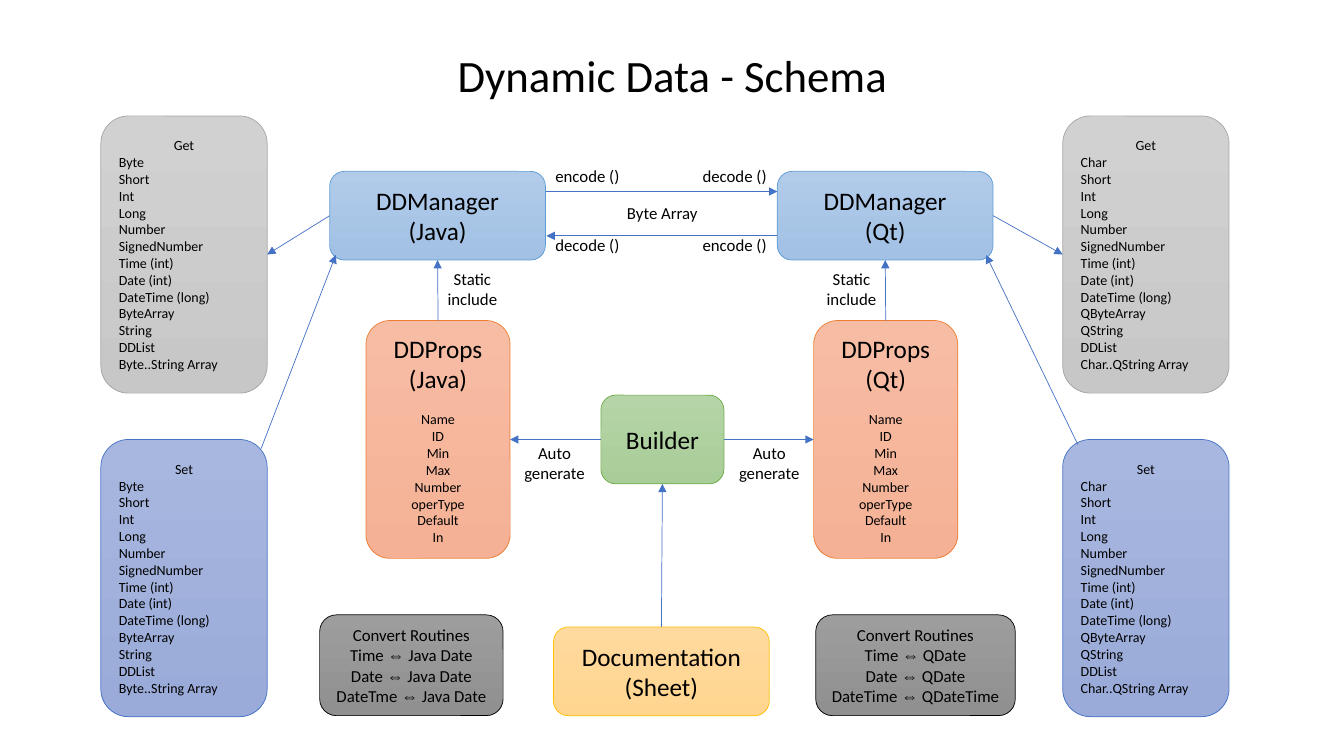
from lxml import etree
from pptx import Presentation
from pptx import util as u
from pptx.dml.color import RGBColor
from pptx.enum import shapes, text
from pptx.oxml import ns

BLACK = RGBColor(0x00, 0x00, 0x00)
ARROW_BLUE = RGBColor(0x44, 0x72, 0xC4)
# Each palette: gradient top, gradient bottom, outline
BLUE = RGBColor(0xB1, 0xCB, 0xE9), RGBColor(0xA2, 0xC1, 0xE4), RGBColor(0x5B, 0x9B, 0xD5)
ORANGE = RGBColor(0xF7, 0xBC, 0xA4), RGBColor(0xF4, 0xB1, 0x96), RGBColor(0xED, 0x7D, 0x31)
GREEN = RGBColor(0xB5, 0xD4, 0xA7), RGBColor(0xA9, 0xCD, 0x99), RGBColor(0x70, 0xAD, 0x47)
GOLD = RGBColor(0xFF, 0xDA, 0x9E), RGBColor(0xFF, 0xD5, 0x90), RGBColor(0xFF, 0xC0, 0x00)
SILVER = RGBColor(0xD1, 0xD1, 0xD1), RGBColor(0xC7, 0xC7, 0xC7), RGBColor(0xA5, 0xA5, 0xA5)
INDIGO = RGBColor(0xA8, 0xB7, 0xDF), RGBColor(0x9A, 0xAB, 0xD9), ARROW_BLUE
GRAY = RGBColor(0x9D, 0x9D, 0x9D), RGBColor(0x90, 0x90, 0x90), BLACK

WIDTH, HEIGHT = u.Inches(13.33), u.Inches(7.5)
COLUMNS, ROWS = 133.3, 75
TOP, LEFT, BOTTOM, RIGHT = range(4)  # connection sites of a box
CENTER, START = text.PP_ALIGN.CENTER, text.PP_ALIGN.LEFT
DOUBLE_ARROW = "\u21d4"


def write(frame, lines, size=18, align=CENTER, before=0, spacing=1.0):
    """Add lines as paragraphs; `before` is the gap above the first one."""
    for index, line in enumerate(lines):
        first = frame.paragraphs[0]
        paragraph = frame.add_paragraph() if first.runs else first
        paragraph.alignment = align
        paragraph.line_spacing = spacing
        paragraph.space_before = u.Pt(0 if index else before)
        for part in filter(None, line.partition(DOUBLE_ARROW)):
            run = paragraph.add_run()
            run.text = part
            run.font.name = "Arial" if part == DOUBLE_ARROW else "Calibri"
            run.font.size = u.Pt(size)
            run.font.color.rgb = BLACK


class Diagram:
    """Holds the slide and the shared style of its elements."""

    line_width = u.Pt(0.5)

    def __init__(self, slide):
        """Keep the slide to draw on."""
        self.shapes = slide.shapes

    def place(self, column, row):
        """Turn grid columns and rows into slide lengths."""
        return round(column * WIDTH / COLUMNS), round(row * HEIGHT / ROWS)

    def box(self, left, top, width, height, palette, *blocks):
        """Draw a rounded gradient box; each block is (lines, format)."""
        shape = self.shapes.add_shape(
            shapes.MSO_SHAPE.ROUNDED_RECTANGLE,
            *self.place(left, top), *self.place(width, height))
        shape.shadow.inherit = False
        shape.fill.gradient()
        shape.fill.gradient_angle = 270
        for stop, color in zip(shape.fill.gradient_stops, palette):
            stop.color.rgb = color
        shape.line.color.rgb = palette[-1]
        shape.line.width = self.line_width
        shape.text_frame.word_wrap = True
        shape.text_frame.vertical_anchor = text.MSO_ANCHOR.MIDDLE
        for lines, style in blocks:
            write(shape.text_frame, lines, **style)
        return shape

    def title(self, left, top, width, height, line):
        """Add the slide's heading."""
        frame = self.shapes.add_textbox(
            *self.place(left, top), *self.place(width, height)).text_frame
        frame.word_wrap = True
        frame.vertical_anchor = text.MSO_ANCHOR.MIDDLE
        write(frame, [line], size=32, spacing=0.9)

    def label(self, left, top, width, height, *lines, align=CENTER):
        """Add a small text box that grows with its unwrapped lines."""
        frame = self.shapes.add_textbox(
            *self.place(left, top), *self.place(width, height)).text_frame
        frame.word_wrap = False
        frame.auto_size = text.MSO_AUTO_SIZE.SHAPE_TO_FIT_TEXT
        write(frame, lines, size=12, align=align)

    def arrow(self, start, end):
        """Draw an arrow; an end is a (box, site) pair or a grid point."""
        glued = [not isinstance(point[0], (int, float)) for point in (start, end)]
        corners = [(0, 0) if fixed else self.place(*point)
                   for fixed, point in zip(glued, (start, end))]
        connector = self.shapes.add_connector(
            shapes.MSO_CONNECTOR.STRAIGHT, *corners[0], *corners[1])
        if glued[0]:
            connector.begin_connect(*start)
        if glued[1]:
            connector.end_connect(*end)
        connector.line.color.rgb = ARROW_BLUE
        connector.line.width = self.line_width
        outline = connector.line._get_or_add_ln()
        etree.SubElement(outline, ns.qn("a:tailEnd"), type="triangle")
        etree.SubElement(connector._element.spPr, ns.qn("a:effectLst"))


def type_names(smallest, prefix):
    """List the data types that one side can get and set."""
    return [smallest, "Short", "Int", "Long", "Number", "SignedNumber",
            "Time (int)", "Date (int)", "DateTime (long)", f"{prefix}ByteArray",
            f"{prefix}String", "DDList", f"{smallest}..{prefix}String Array"]


def draw_side(diagram, language, left, access_left, types, outer, corners):
    """Draw one language's manager, properties and access boxes."""
    manager = diagram.box(left, 17, 21.4, 8.8, BLUE,
                          (["DDManager", f"({language})"], {}))
    properties = diagram.box(
        left + 3.6, 31.8, 14.3, 23.6, ORANGE,
        (["DDProps", f"({language})"], {}),
        (["Name", "ID", "Min", "Max", "Number", "operType", "Default", "In"],
         {"size": 10, "before": 12.2}))
    getter, _ = [
        diagram.box(access_left, top, 16.5, 27.5, palette,
                    ([name], {"size": 10}), (types, {"size": 10, "align": START}))
        for name, top, palette in (("Get", 11.5, SILVER), ("Set", 43.6, INDIGO))]
    diagram.arrow((properties, TOP), (manager, BOTTOM))
    diagram.arrow((manager, outer), (getter, RIGHT + LEFT - outer))
    diagram.arrow(*corners)
    return properties


def draw_converter(diagram, left, width, pairs):
    """Draw a box of date conversions."""
    lines = [f"{ours} {DOUBLE_ARROW} {theirs}" for ours, theirs in pairs]
    diagram.box(left, 61, width, 10, GRAY,
                (["Convert Routines", *lines], {"size": 12}))


def main():
    """Build and save the schema slide."""
    presentation = Presentation()
    presentation.slide_width, presentation.slide_height = WIDTH, HEIGHT
    diagram = Diagram(presentation.slides.add_slide(presentation.slide_layouts[6]))

    diagram.title(9.2, 4, 115, 7.5, "Dynamic Data - Schema")
    java = draw_side(diagram, "Java", 32.7, 10, type_names("Byte", ""), LEFT,
                     ((25.9, 44.5), (33.3, 25.3)))
    qt = draw_side(diagram, "Qt", 77.1, 105.4, type_names("Char", "Q"), RIGHT,
                   ((106.9, 44.1), (97.8, 25.3)))

    diagram.arrow((54.2, 19), (77.1, 19))
    diagram.arrow((77.1, 23.4), (54.2, 23.4))
    for top, names in ((16, ("encode ()", "decode ()")),
                       (22.8, ("decode ()", "encode ()"))):
        for left, name in zip((54.1, 68.7), names):
            diagram.label(left, top, 8.4, 3, name, align=START)
    diagram.label(61.2, 19.6, 9, 3, "Byte Array", align=START)

    builder = diagram.box(59.6, 39.2, 12.2, 8.8, GREEN, (["Builder"], {}))
    document = diagram.box(54.9, 62.2, 21.4, 8.8, GOLD,
                           (["Documentation", "(Sheet)"], {}))
    diagram.arrow((document, TOP), (builder, BOTTOM))
    diagram.arrow((builder, LEFT), (java, RIGHT))
    diagram.arrow((builder, RIGHT), (qt, LEFT))
    for left in (43.4, 81):
        diagram.label(left, 26.2, 6.9, 5, "Static", "include")
    for left in (51, 72.3):
        diagram.label(left, 43.4, 8, 5, "Auto", "generate")

    draw_converter(diagram, 31.7, 18.2, [
        (name, "Java Date") for name in ("Time", "Date", "DateTme")])
    draw_converter(diagram, 80.9, 19.8, [
        ("Time", "QDate"), ("Date", "QDate"), ("DateTime", "QDateTime")])
    presentation.save("out.pptx")


main()
